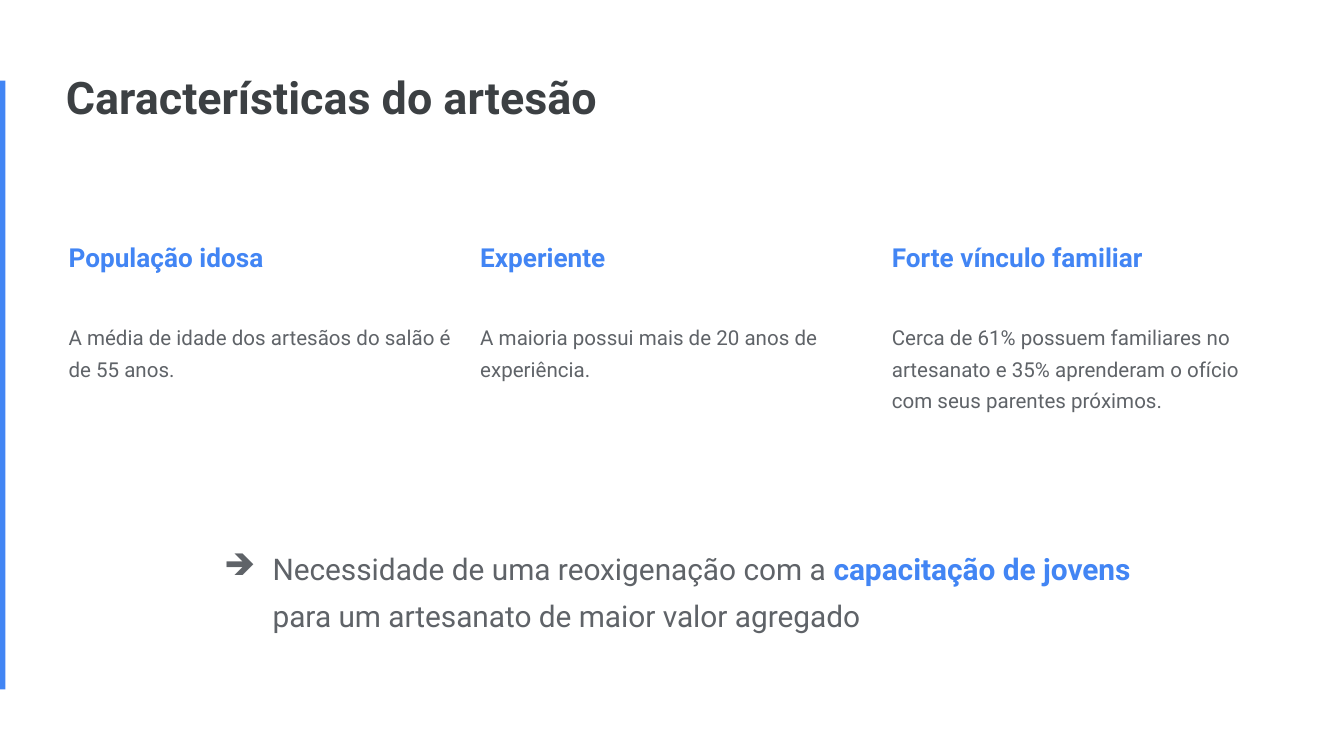
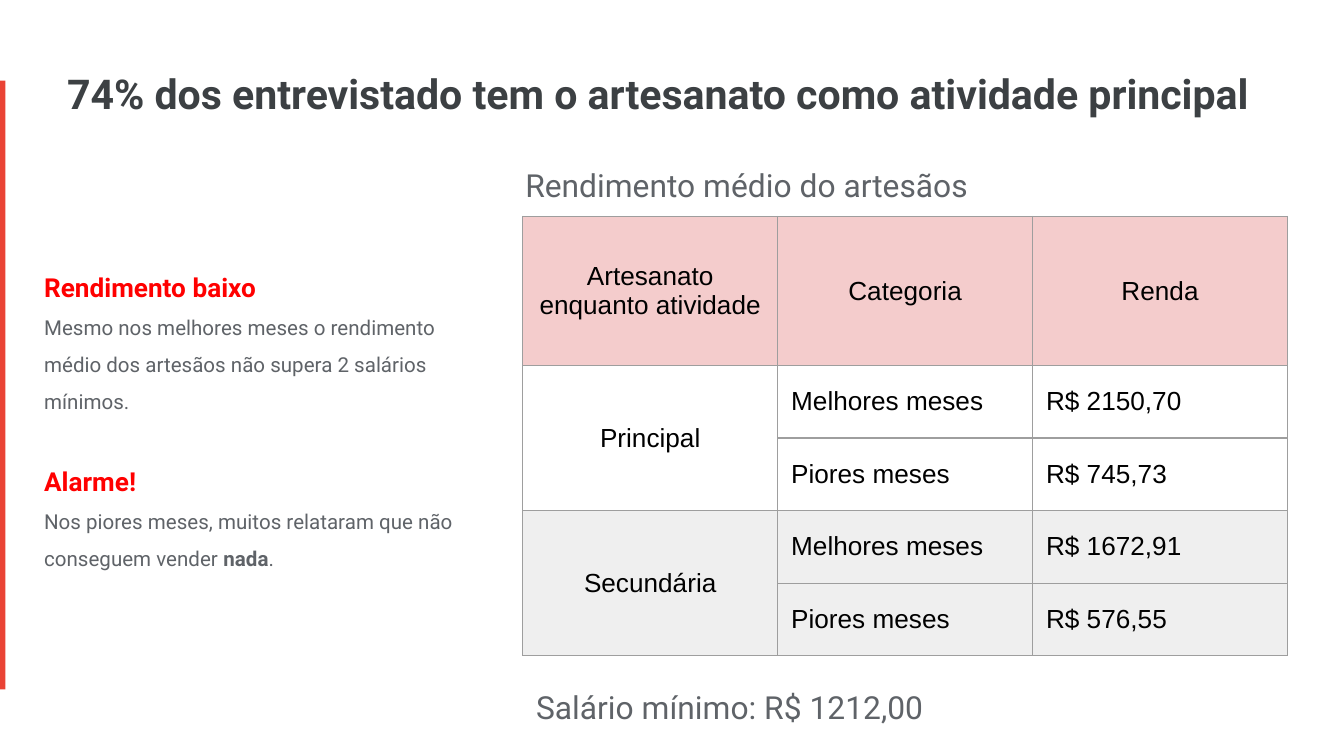
"""Build two slides on the profile and the income of artisans."""
from dataclasses import dataclass
from typing import Optional

import lxml.etree
import pptx
import pptx.dml.color
import pptx.enum.shapes
import pptx.enum.text
import pptx.oxml.ns
import pptx.util

WIDTH, HEIGHT = 10, 5.625
COLS, ROWS = 100, 56.25
FONT, TABLE_FONT = "Roboto", "Arial"
COLORS = {
    "ink": "3C4043", "gray": "5F6368", "blue": "4285F4", "coral": "EA4335",
    "red": "FF0000", "black": "000000", "pink": "F4CCCC", "pale": "EFEFEF",
    "white": "FFFFFF", "rule": "9E9E9E",
}
CENTER = pptx.enum.text.PP_ALIGN.CENTER
MIDDLE = pptx.enum.text.MSO_ANCHOR.MIDDLE


@dataclass(frozen=True)
class Box:
    """A place on the slide, in grid columns and rows."""
    col: float
    row: float
    cols: float
    rows: float

    def emu(self) -> tuple:
        """Return left, top, width and height."""
        return across(self.col), down(self.row), across(self.cols), down(self.rows)


@dataclass(frozen=True)
class Run:
    """A piece of text in one style."""
    text: str
    size: float
    color: str = "gray"
    bold: bool = False
    font: str = FONT


@dataclass(frozen=True)
class Para:
    """A paragraph made of runs."""
    runs: tuple
    spacing: Optional[float] = None
    before: float = 0
    bullet: str = ""
    align: Optional[int] = None


def across(cols: float) -> int:
    """Turn grid columns into a length."""
    return pptx.util.Inches(cols * WIDTH / COLS)


def down(rows: float) -> int:
    """Turn grid rows into a length."""
    return pptx.util.Inches(rows * HEIGHT / ROWS)


def rgb(name: str) -> pptx.dml.color.RGBColor:
    """Look up a colour by name."""
    return pptx.dml.color.RGBColor.from_string(COLORS[name])


def add_child(parent, tag: str, **attrs: str):
    """Append a DrawingML element."""
    return lxml.etree.SubElement(parent, pptx.oxml.ns.qn(tag), attrs)


def add_bullet(p, char: str) -> None:
    """Give a paragraph a gray bullet and a hanging indent."""
    pPr = p._p.get_or_add_pPr()
    pPr.set("marL", str(across(5)))
    pPr.set("indent", str(-across(3.6)))
    add_child(add_child(pPr, "a:buClr"), "a:srgbClr", val=COLORS["gray"])
    add_child(pPr, "a:buChar", char=char)


def write(tf, paras: tuple) -> None:
    """Fill a text frame run by run."""
    for i, para in enumerate(paras):
        p = tf.add_paragraph() if i else tf.paragraphs[0]
        if para.bullet:
            add_bullet(p, para.bullet)
        if para.spacing:
            p.line_spacing = para.spacing
        if para.before:
            p.space_before = pptx.util.Pt(para.before)
        if para.align is not None:
            p.alignment = para.align
        for run in para.runs:
            r = p.add_run()
            r.text = run.text
            r.font.name = run.font
            r.font.size = pptx.util.Pt(run.size)
            r.font.bold = run.bold
            r.font.color.rgb = rgb(run.color)


def add_text(s, box: Box, *paras: Para, inset: float = 1, grow: bool = True) -> None:
    """Add a wrapping text box."""
    tf = s.shapes.add_textbox(*box.emu()).text_frame
    tf.word_wrap = True
    if grow:
        tf.auto_size = pptx.enum.text.MSO_AUTO_SIZE.SHAPE_TO_FIT_TEXT
    tf.margin_left = tf.margin_right = across(inset)
    tf.margin_top = tf.margin_bottom = down(inset)
    write(tf, paras)


def add_slide(prs, title: str, box: Box, size: float, accent: str):
    """Add a blank slide with its title and side band."""
    s = prs.slides.add_slide(prs.slide_layouts[6])
    s.background.fill.solid()
    s.background.fill.fore_color.rgb = rgb("white")
    add_text(s, box, Para((Run(title, size, "ink", True),), 0.9), inset=0.2, grow=False)
    band = Box(0, 6, 0.4, 45.3)
    sp = s.shapes.add_shape(pptx.enum.shapes.MSO_SHAPE.RECTANGLE, *band.emu())
    sp.shadow.inherit = False
    sp.fill.solid()
    sp.fill.fore_color.rgb = rgb(accent)
    sp.line.fill.background()
    return s


def add_table(s, box: Box, heights: tuple):
    """Add a plain table of three equal columns."""
    tbl = s.shapes.add_table(len(heights), 3, *box.emu()).table
    tbl.first_row = tbl.horz_banding = False
    for row, height in zip(tbl.rows, heights):
        row.height = down(height)
    for cell in tbl.iter_cells():
        cell.margin_left = cell.margin_right = across(1)
        cell.margin_top = cell.margin_bottom = down(1)
        cell.fill.background()
    return tbl


def add_borders(cell) -> None:
    """Rule all four sides of a cell."""
    tcPr = cell._tc.get_or_add_tcPr()
    for i, side in enumerate(("a:lnL", "a:lnR", "a:lnT", "a:lnB")):
        ln = add_child(tcPr, side, w=str(pptx.util.Pt(0.75)))
        add_child(add_child(ln, "a:solidFill"), "a:srgbClr", val=COLORS["rule"])
        tcPr.insert(i, ln)


def build_profile(prs) -> None:
    """Build the slide on the artisan's traits."""
    s = add_slide(prs, "Características do artesão", Box(4.7, 5.4, 85.3, 4.5), 24, "blue")
    traits = (
        ("População idosa", "A média de idade dos artesãos do salão é de 55 anos."),
        ("Experiente", "A maioria possui mais de 20 anos de experiência."),
        ("Forte vínculo familiar", "Cerca de 61% possuem familiares no artesanato e 35% "
         "aprenderam o ofício com seus parentes próximos."),
    )
    tbl = add_table(s, Box(4.1, 17.1, 91.9, 9.9), (5.7, 4.2))
    for c, (name, detail) in enumerate(traits):
        write(tbl.cell(0, c).text_frame, (Para((Run(name, 14, "blue", True),)),))
        write(tbl.cell(1, c).text_frame, (Para((Run(detail, 11),), 1.3),))
    add_text(s, Box(14.3, 39.2, 72.1, 8.2), Para((
        Run("Necessidade de uma reoxigenação com a ", 16),
        Run("capacitação de jovens", 16, "blue", True),
        Run(" para um artesanato de maior valor agregado", 16),
    ), 1.3, bullet="➔"))


def add_income_table(s) -> None:
    """Add the table of income by activity and season."""
    rows = (
        ("Artesanato enquanto atividade", "Categoria", "Renda"),
        ("Principal", "Melhores meses", "R$ 2150,70"),
        ("", "Piores meses", "R$ 745,73"),
        ("Secundária", "Melhores meses", "R$ 1672,91"),
        ("", "Piores meses", "R$ 576,55"),
    )
    fills = ("pink", None, None, "pale", "pale")
    tbl = add_table(s, Box(38.9, 16.1, 56.9, 32.7), (11.1,) + (5.4,) * 4)
    for i, (texts, fill) in enumerate(zip(rows, fills)):
        for c, text in enumerate(texts):
            cell = tbl.cell(i, c)
            add_borders(cell)
            cell.vertical_anchor = MIDDLE
            if fill:
                cell.fill.solid()
                cell.fill.fore_color.rgb = rgb(fill)
            if text:
                align = CENTER if i == 0 or c == 0 else None
                run = Run(text, 14, "black", font=TABLE_FONT)
                write(cell.text_frame, (Para((run,), align=align),))
    for i in (1, 3):
        tbl.cell(i, 0).merge(tbl.cell(i + 1, 0))


def build_income(prs) -> None:
    """Build the slide on the artisan's income."""
    s = add_slide(prs, "74% dos entrevistado tem o artesanato como atividade principal",
                  Box(4.8, 5.3, 90.6, 4.5), 22, "coral")
    add_income_table(s)
    add_text(
        s, Box(2.3, 18, 34.6, 28.1),
        Para((Run("Rendimento baixo", 14, "red", True),), 1.5),
        Para((Run("Mesmo nos melhores meses o rendimento médio dos artesãos "
                  "não supera 2 salários mínimos.", 11),), 1.5),
        Para((Run("Alarme!", 14, "red", True),), 1.5, before=19.3),
        Para((Run("Nos piores meses, muitos relataram que não conseguem vender ", 11),
              Run("nada", 11, bold=True), Run(".", 11)), 1.5),
    )
    for col, row, text in ((38.1, 10.5, "Rendimento médio do artesãos"),
                           (38.9, 49.3, "Salário mínimo: R$ 1212,00")):
        add_text(s, Box(col, row, 37.1, 4.9), Para((Run(text, 17),), 1.3))


def main() -> None:
    """Build and save the presentation."""
    prs = pptx.Presentation()
    prs.slide_width, prs.slide_height = across(COLS), down(ROWS)
    build_profile(prs)
    build_income(prs)
    prs.save("out.pptx")


if __name__ == "__main__":
    main()
